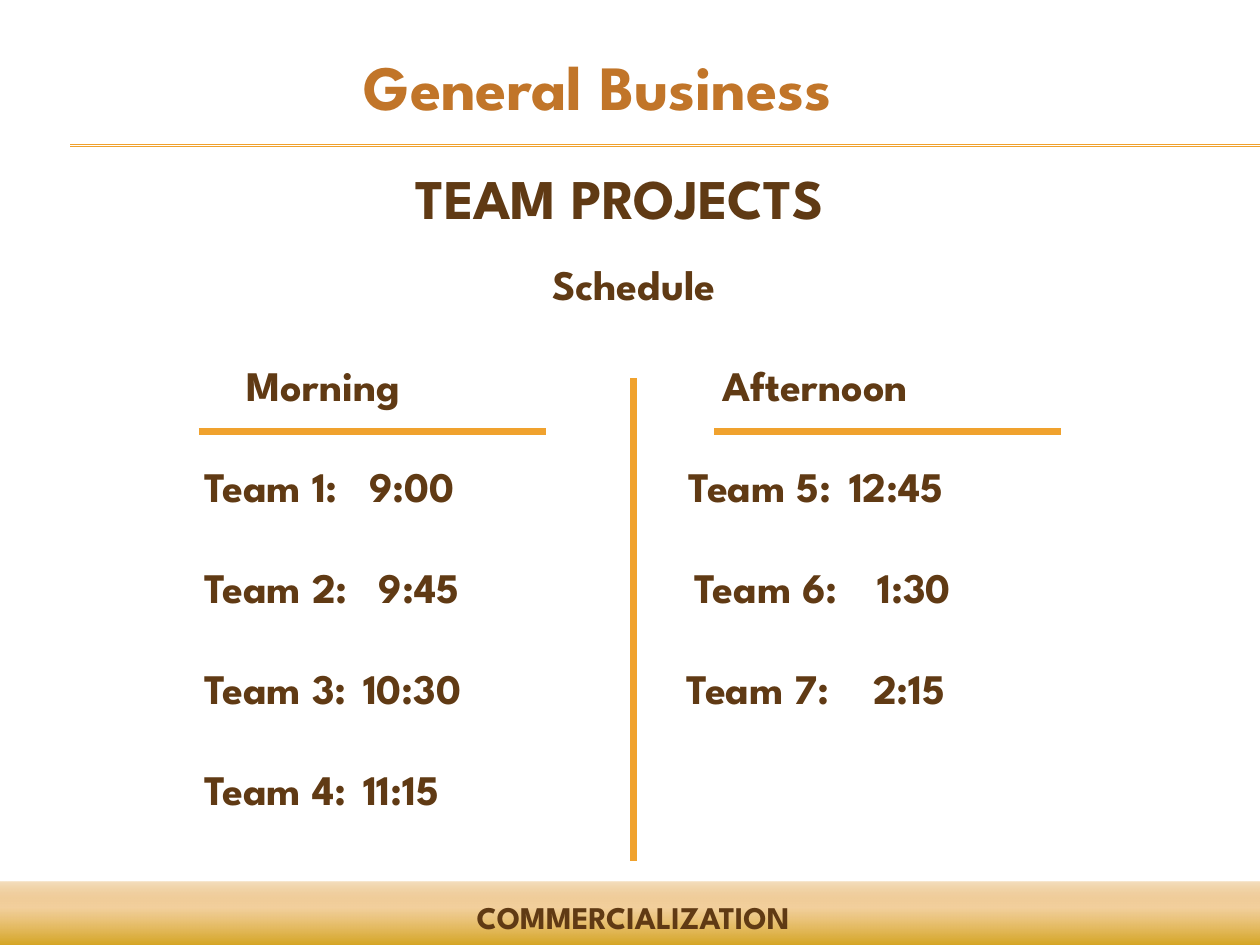
from lxml import etree
from pptx import Presentation
from pptx.dml.color import RGBColor as RGB
from pptx.enum.shapes import MSO_CONNECTOR as LINK, MSO_SHAPE as SHAPE
from pptx.enum.text import PP_ALIGN as ALIGN
from pptx.oxml import parse_xml
from pptx.oxml.ns import nsdecls, qn
from pptx.util import Cm, Pt

HUES = {"gold": "F0A22E", "brown": "603A14", "rust": "C17529"}
FONT = {"name": "League Spartan", "bold": True}

deck = Presentation()
deck.slide_width, deck.slide_height = Cm(25.4), Cm(19.05)
slide = deck.slides.add_slide(deck.slide_layouts[6])
shapes = slide.shapes


def rule(x1, y1, x2, y2, width):
    """Draw a gold line without a shadow."""
    line = shapes.add_connector(LINK.STRAIGHT, Cm(x1), Cm(y1), Cm(x2), Cm(y2))
    line.line.color.rgb = RGB.from_string(HUES["gold"])
    line.line.width = Pt(width)
    etree.SubElement(line._element.spPr, qn("a:effectLst"))


def write(box, rows, size, hue):
    """Fill a text box; each row is its text, alignment and tab stops in cm."""
    frame = box.text_frame
    frame.word_wrap = True
    for i, (text, align, stops) in enumerate(rows):
        para = frame.add_paragraph() if i else frame.paragraphs[0]
        para.alignment = align
        if i:
            para.space_before = Pt(28.9)
        run = para.add_run()
        run.text = text
        for key, value in {**FONT, "size": Pt(size)}.items():
            setattr(run.font, key, value)
        run.font.color.rgb = RGB.from_string(HUES[hue])
        if stops:
            tabs = etree.SubElement(para._p.get_or_add_pPr(), qn("a:tabLst"))
            for stop in stops:
                etree.SubElement(tabs, qn("a:tab"), pos=str(Cm(stop)), algn="l")


# Header rules and footer band
for y in (2.92, 2.95):
    rule(1.42, y, 25.4, y, 0.75)

band = shapes.add_shape(SHAPE.RECTANGLE, Cm(-0.03), Cm(17.78), Cm(25.48), Cm(1.47))
band.shadow.inherit = False
band.line.fill.background()
stops = "".join(
    f'<a:gs pos="{pos}000"><a:srgbClr val="{hue}"><a:alpha val="{alpha}000"/></a:srgbClr></a:gs>'
    for pos, hue, alpha in ((0, "CC9900", 100), (65, "EFC17E", 75), (100, "D68000", 25))
)
band._element.spPr.find(qn("a:prstGeom")).addnext(parse_xml(
    f'<a:gradFill {nsdecls("a")} rotWithShape="1"><a:gsLst>{stops}</a:gsLst>'
    '<a:lin ang="16200000" scaled="1"/></a:gradFill>'
))

# Headings
for text, place, size, hue, indent in (
    ("COMMERCIALIZATION", (0.38, 17.98, 24.77, 1.02), 18, "brown", 0),
    ("General Business", (2.11, 0.84, 19.25, 1.8), 36, "rust", 0.64),
    ("TEAM PROJECTS", (5.03, 3.18, 14.94, 1.63), 32, "brown", 0),
):
    box = shapes.add_textbox(*map(Cm, place))
    write(box, [(text, ALIGN.CENTER, ())], size, hue)
    if indent:
        box.text_frame.paragraphs[0]._p.get_or_add_pPr().set("marL", str(Cm(indent)))

# Schedule
rows = [
    ("Schedule", ALIGN.CENTER, ()),
    ("\tMorning\tAfternoon", ALIGN.LEFT, (1.95, 11.55)),
    ("\tTeam 1:\t9:00\tTeam 5:\t12:45", ALIGN.LEFT, (1.1, 4.42, 10.87, 14.1)),
    ("\tTeam 2:\t9:45\tTeam 6:\t1:30", ALIGN.LEFT, (1.1, 4.62, 10.98, 14.67)),
    ("\tTeam 3:\t10:30\tTeam 7:\t2:15", ALIGN.LEFT, (1.1, 4.3, 10.83, 14.58)),
    ("\tTeam 4:\t11:15", ALIGN.LEFT, (1.1, 4.3)),
]
write(shapes.add_textbox(Cm(2.77), Cm(5.08), Cm(20.02), Cm(15.29)), rows, 24, "brown")

rule(12.78, 7.62, 12.78, 17.35, 4)
for x in (4.01, 14.4):
    rule(x, 8.69, x + 6.99, 8.69, 4)

deck.save("out.pptx")
